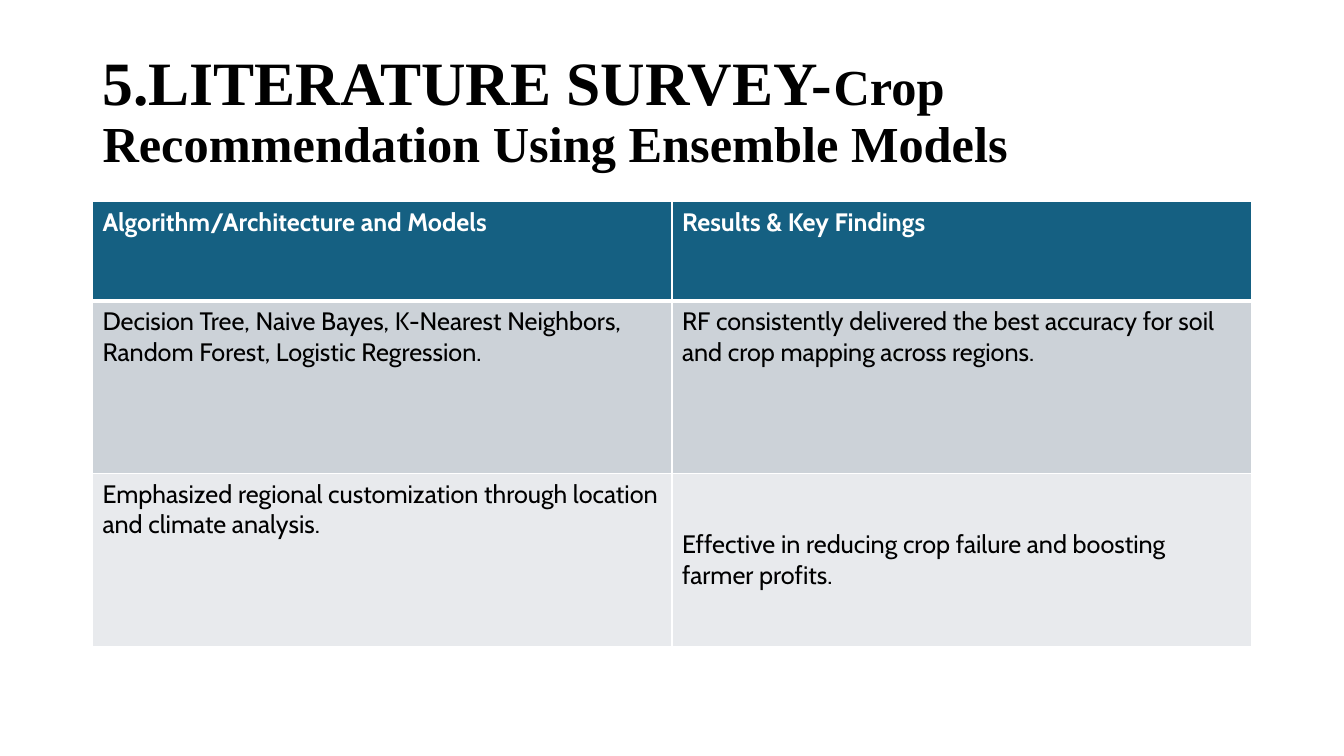
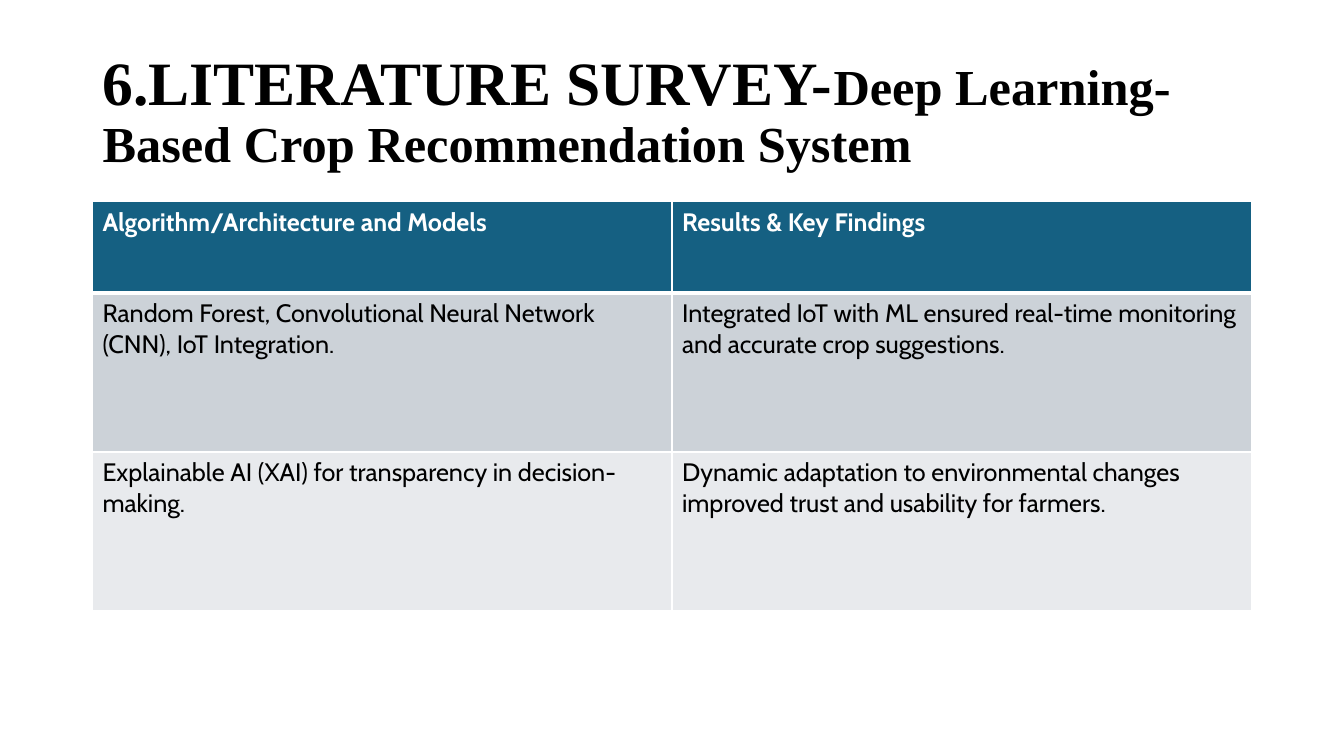
from lxml import etree
from pptx import Presentation
from pptx import util as u
from pptx.dml import color
from pptx.enum import text
from pptx.oxml import ns

COLOURS = {
    "ink": "000000",
    "paper": "FFFFFF",
    "header": "156082",
    "band_dark": "CCD2D8",
    "band_light": "E8EAED",
}
ROW_FILLS = ["header", "band_dark", "band_light"]
HEADINGS = ["Algorithm/Architecture and Models", "Results & Key Findings"]


class SurveyDeck:
    """Holds the shared style and the current slide."""

    title_font = "Times New Roman"
    table_font = "Cabin"
    left, width = u.Cm(2.33), u.Cm(29.21)

    def __init__(self):
        self.deck = Presentation()
        self.deck.slide_width = u.Cm(33.87)
        self.deck.slide_height = u.Cm(19.05)
        self.page = None

    def add_page(self):
        self.page = self.deck.slides.add_slide(self.deck.slide_layouts[5])
        fill = self.page.background.fill
        fill.solid()
        fill.fore_color.rgb = self.rgb("paper")

    def rgb(self, name):
        return color.RGBColor.from_string(COLOURS[name])

    def add_span(self, para, words, font, size, colour, bold):
        span = para.add_run()
        span.text = words
        span.font.name = font
        span.font.size = u.Pt(size)
        span.font.bold = bold
        span.font.color.rgb = self.rgb(colour)

    def add_title(self, section, topic):
        box = self.page.shapes.title
        box.left, box.top = self.left, u.Cm(1.01)
        box.width, box.height = self.width, u.Cm(3.68)
        frame = box.text_frame
        frame.word_wrap = True
        frame.auto_size = text.MSO_AUTO_SIZE.NONE
        frame.vertical_anchor = text.MSO_ANCHOR.MIDDLE
        para = frame.paragraphs[0]
        para.alignment = text.PP_ALIGN.LEFT
        para.line_spacing = 0.9
        for words, size in ((section, 44), (topic, 36)):
            self.add_span(para, words, self.title_font, size, "ink", True)

    def add_borders(self, cell, top, bottom):
        props = cell._tc.get_or_add_tcPr()
        for side, points in (("L", 1), ("R", 1), ("T", top), ("B", bottom)):
            line = etree.SubElement(props, ns.qn(f"a:ln{side}"), w=str(u.Pt(points)))
            fill = etree.SubElement(line, ns.qn("a:solidFill"))
            etree.SubElement(fill, ns.qn("a:srgbClr"), val=COLOURS["paper"])

    def add_table(self, findings, header_height, row_height, middle_cells=()):
        rows = [HEADINGS, *findings]
        heights = [u.Cm(header_height)] + [u.Cm(row_height)] * len(findings)
        table = self.page.shapes.add_table(
            len(rows), len(HEADINGS), self.left, u.Cm(5.08), self.width, sum(heights)
        ).table
        for r, entries in enumerate(rows):
            table.rows[r].height = heights[r]
            is_header = r == 0
            for c, words in enumerate(entries):
                cell = table.cell(r, c)
                # The rule under the header is thicker than the others
                self.add_borders(cell, 3 if r == 1 else 1, 3 if is_header else 1)
                cell.fill.solid()
                cell.fill.fore_color.rgb = self.rgb(ROW_FILLS[r])
                if (r, c) in middle_cells:
                    cell.vertical_anchor = text.MSO_ANCHOR.MIDDLE
                self.add_span(cell.text_frame.paragraphs[0], words, self.table_font,
                              18, "paper" if is_header else "ink", is_header)


def main():
    survey = SurveyDeck()

    # Ensemble models
    survey.add_page()
    survey.add_title("5.LITERATURE SURVEY-", "Crop Recommendation Using Ensemble Models")
    survey.add_table([
        ["Decision Tree, Naive Bayes, K-Nearest Neighbors, Random Forest, "
         "Logistic Regression.",
         "RF consistently delivered the best accuracy for soil and crop mapping "
         "across regions."],
        ["Emphasized regional customization through location and climate analysis.",
         "Effective in reducing crop failure and boosting farmer profits."],
    ], 2.51, 4.35, middle_cells=[(2, 1)])

    # Deep learning
    survey.add_page()
    survey.add_title("6.LITERATURE SURVEY-",
                     "Deep Learning-Based Crop Recommendation System")
    survey.add_table([
        ["Random Forest, Convolutional Neural Network (CNN), IoT Integration.",
         "Integrated IoT with ML ensured real-time monitoring and accurate crop "
         "suggestions."],
        ["Explainable AI (XAI) for transparency in decision-making.",
         "Dynamic adaptation to environmental changes improved trust and usability "
         "for farmers."],
    ], 2.31, 4)

    survey.deck.save("out.pptx")


if __name__ == "__main__":
    main()
